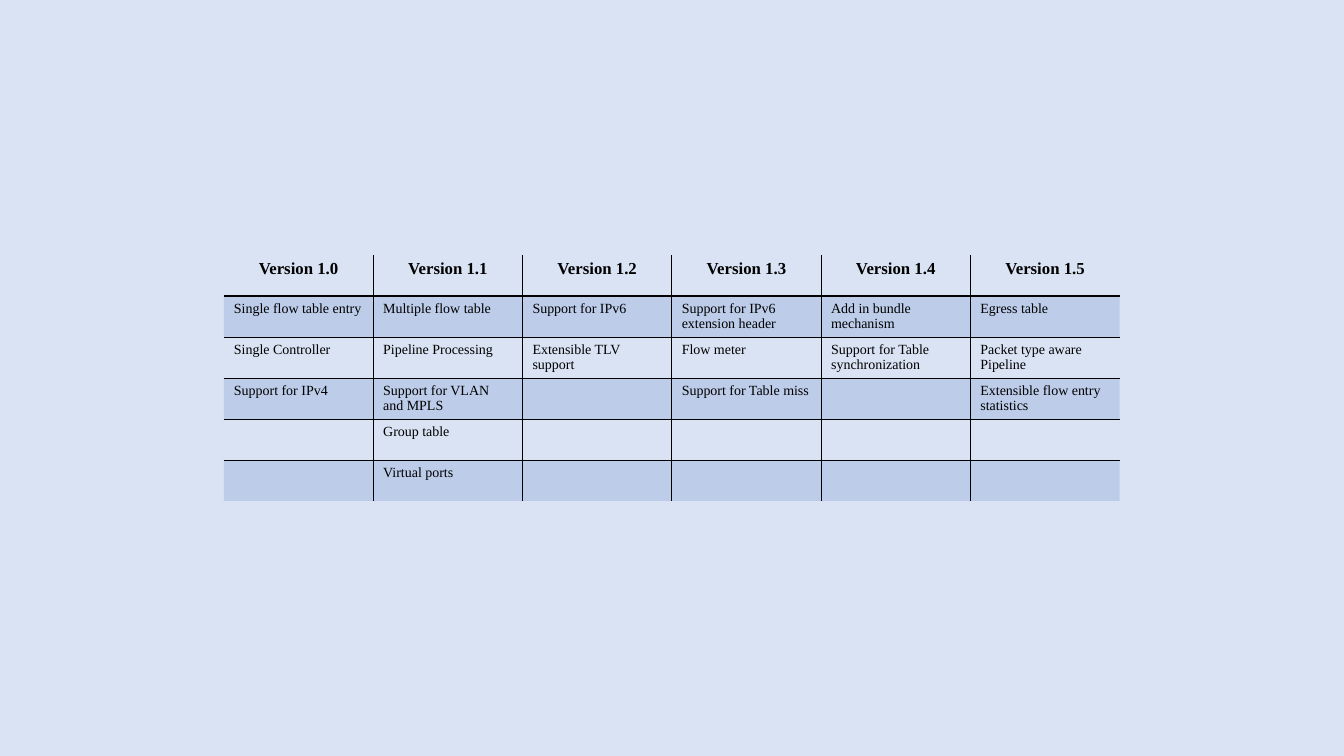
from lxml import etree
from pptx import Presentation
from pptx import util as u
from pptx.dml.color import RGBColor
from pptx.enum import text
from pptx.oxml.ns import qn

EMU_PER_PX = 914400 / 100.8
FONT = "Times New Roman"
COLORS = {"background": "DAE3F3", "band": "4472C4", "ink": "000000"}
BAND_OPACITY = 20
THICK, THIN = 1, 0.25

FEATURES = {
    "Version 1.0": ["Single flow table entry", "Single Controller", "Support for IPv4"],
    "Version 1.1": ["Multiple flow table", "Pipeline Processing",
                    "Support for VLAN and MPLS", "Group table", "Virtual ports"],
    "Version 1.2": ["Support for IPv6", "Extensible TLV support"],
    "Version 1.3": ["Support for IPv6 extension header", "Flow meter",
                    "Support for Table miss"],
    "Version 1.4": ["Add in bundle mechanism", "Support for Table synchronization"],
    "Version 1.5": ["Egress table", "Packet type aware Pipeline",
                    "Extensible flow entry statistics"],
}


def px(length):
    return u.Emu(round(length * EMU_PER_PX))


def color(name):
    return RGBColor.from_string(COLORS[name])


def set_border(cell, side, points):
    properties = cell._tc.get_or_add_tcPr()
    line = etree.SubElement(properties, qn(f"a:ln{side}"), w=str(u.Pt(points)))
    if points:
        fill = etree.SubElement(line, qn("a:solidFill"))
        etree.SubElement(fill, qn("a:srgbClr"), val=COLORS["ink"])
    else:
        etree.SubElement(line, qn("a:noFill"))


def rule_width(edge, count):
    if edge in (0, count):
        return 0
    return THICK if edge == 1 else THIN


def fill_band(cell):
    cell.fill.solid()
    cell.fill.fore_color.rgb = color("band")
    tint = cell._tc.tcPr.find(qn("a:solidFill")).find(qn("a:srgbClr"))
    etree.SubElement(tint, qn("a:alpha"), val=str(BAND_OPACITY * 1000))


def write_cell(cell, wording, heading):
    cell.margin_left = cell.margin_right = px(10)
    cell.margin_top, cell.margin_bottom = px(5), px(3)
    cell.vertical_anchor = text.MSO_ANCHOR.TOP
    cell.text_frame.text = wording
    paragraph = cell.text_frame.paragraphs[0]
    paragraph.alignment = text.PP_ALIGN.CENTER if heading else text.PP_ALIGN.LEFT
    paragraph.font.size = u.Pt(12 if heading else 10)
    for run in paragraph.runs:
        run.font.name = FONT
        run.font.size = u.Pt(12 if heading else 10)
        run.font.bold = heading
        run.font.color.rgb = color("ink")


def add_version_table(slide, left, top, width, row_height):
    columns = [[version, *features] for version, features in FEATURES.items()]
    column_count, row_count = len(columns), max(map(len, columns))
    versions = slide.shapes.add_table(row_count, column_count, px(left), px(top),
                                      px(width), px(row_height * row_count)).table
    for column in versions.columns:
        column.width = px(width / column_count)
    for row in versions.rows:
        row.height = px(row_height)
    for c, entries in enumerate(columns):
        for r in range(row_count):
            cell = versions.cell(r, c)
            write_cell(cell, entries[r] if r < len(entries) else "", r == 0)
            set_border(cell, "L", THICK if c > 0 else 0)
            set_border(cell, "R", THICK if c < column_count - 1 else 0)
            set_border(cell, "T", rule_width(r, row_count))
            set_border(cell, "B", rule_width(r + 1, row_count))
            if r % 2:
                fill_band(cell)
            else:
                cell.fill.background()


def main():
    deck = Presentation()
    deck.slide_width, deck.slide_height = px(1344), px(756)
    slide = deck.slides.add_slide(deck.slide_layouts[6])
    slide.background.fill.solid()
    slide.background.fill.fore_color.rgb = color("background")
    add_version_table(slide, left=224, top=255, width=896, row_height=41)
    deck.save("out.pptx")


if __name__ == "__main__":
    main()
